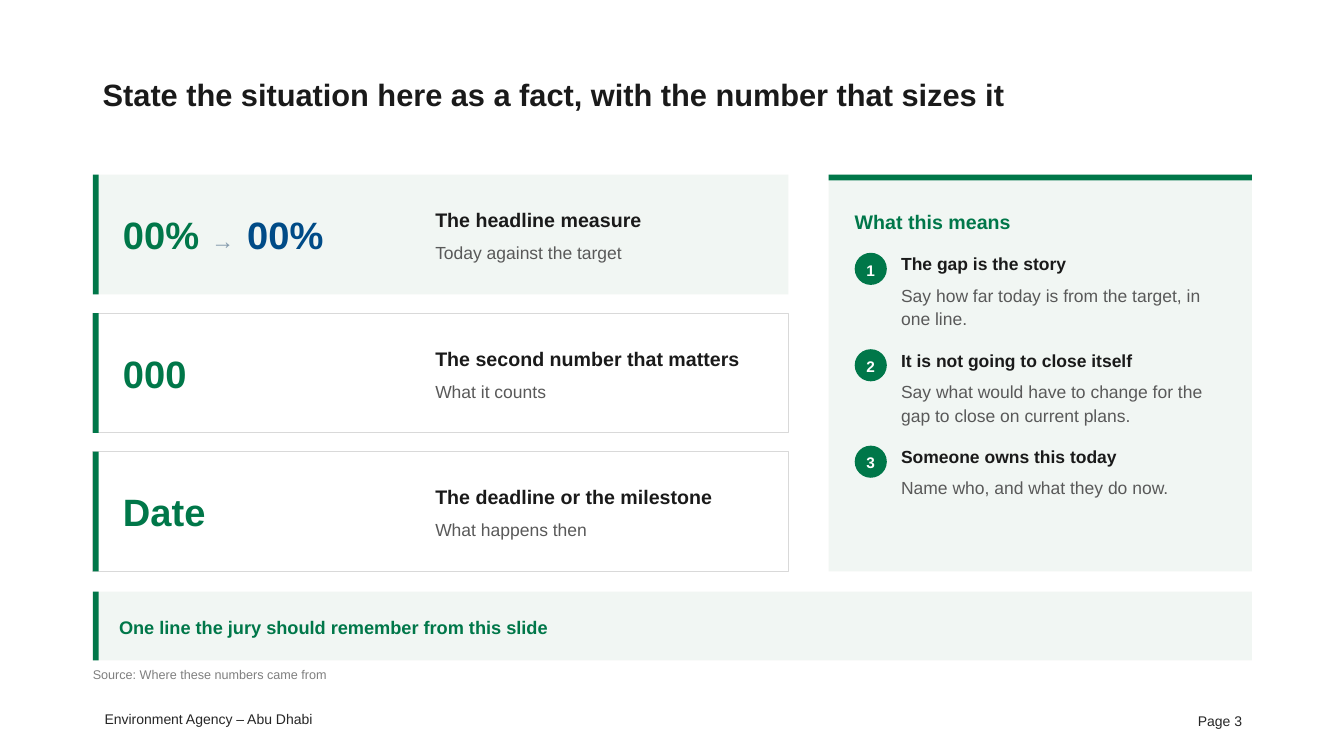
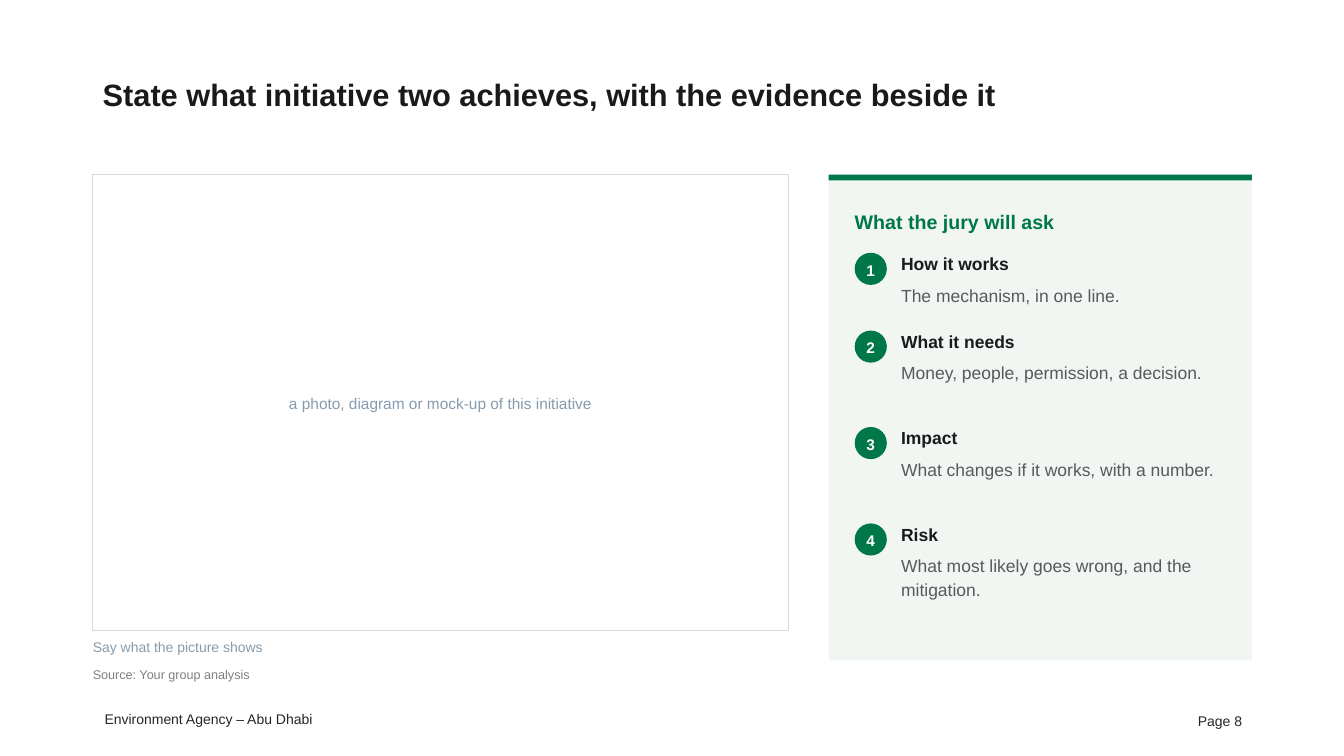
from math import ceil

from lxml.etree import SubElement
from pptx import Presentation
from pptx.dml.color import RGBColor
from pptx.enum.shapes import MSO_SHAPE
from pptx.enum.text import MSO_ANCHOR, PP_ALIGN
from pptx.oxml.ns import qn
from pptx.util import Cm, Pt

FONT = "Arial"
GREEN, BLUE, MINT, WHITE = "007749", "004B87", "F1F6F3", "FFFFFF"
INK, BODY, FOOT, NOTE = "1A1A1A", "595959", "262626", "7F7F7F"
HINT, RULE = "869CAE", "D9D9D9"

# Lengths in centimetres
LEFT, TOP, FULL, MAIN = 2.34, 4.4, 29.21, 17.53
SIDE, SIDE_W = 20.88, 10.67
EDGE = 0.15
CARD_H, PITCH = 3.02, 3.49
BAND_TOP, BAND_H = 14.91, 1.73
BASE = BAND_TOP + BAND_H
PAD = 0.66
LINE_H, LINE_CHARS = 0.47, 36


def color(code):
    return RGBColor.from_string(code)


def add_run(para, text, size, hue, bold=False):
    run = para.add_run()
    run.text = text
    font = run.font
    font.name, font.size, font.bold = FONT, Pt(size), bold
    font.color.rgb = color(hue)


def write(frame, text, size=12.5, hue=BODY, bold=False, align=PP_ALIGN.LEFT,
          anchor=MSO_ANCHOR.TOP, spacing=1.12, after=3, inset=0):
    """Fill a text frame with one formatted paragraph and return it."""
    frame.word_wrap = True
    frame.vertical_anchor = anchor
    frame.margin_left = frame.margin_right = Cm(inset)
    frame.margin_top = frame.margin_bottom = Cm(inset / 2)
    para = frame.paragraphs[0]
    para.alignment = align
    para.line_spacing = spacing
    para.space_after = Pt(after)
    add_run(para, text, size, hue, bold)
    return para


def label(slide, box, text, **form):
    shape = slide.shapes.add_textbox(*map(Cm, box))
    return write(shape.text_frame, text, **form)


def block(slide, box, fill, line=None, kind=MSO_SHAPE.RECTANGLE):
    shape = slide.shapes.add_shape(kind, *map(Cm, box))
    shape.shadow.inherit = False
    shape.fill.solid()
    shape.fill.fore_color.rgb = color(fill)
    if line:
        shape.line.color.rgb = color(line)
        shape.line.width = Pt(0.75)
    else:
        shape.line.fill.background()
    return shape


def set_tabs(para, *stops):
    tabs = SubElement(para._p.get_or_add_pPr(), qn("a:tabLst"))
    for stop in stops:
        SubElement(tabs, qn("a:tab"), pos=str(Cm(stop)), algn="l")


def frame_slide(deck, title, page, source):
    """Add a slide with the shared title, source line and footer."""
    slide = deck.slides.add_slide(deck.slide_layouts[6])
    mid = MSO_ANCHOR.MIDDLE
    foot = dict(size=10, hue=FOOT, align=PP_ALIGN.RIGHT, anchor=mid,
                spacing=1, after=0, inset=0.25)
    label(slide, (23.93, 17.65, 7.62, 1.02), f"Page {page}", **foot)
    label(slide, (2.2, 17.78, 5.92, 0.69), "Environment Agency – Abu Dhabi", **foot)
    label(slide, (LEFT, 1.02, FULL, 2.67), title, size=22, hue=INK, bold=True,
          anchor=mid, spacing=1.05, after=0, inset=0.25)
    label(slide, (LEFT, 16.76, 21.34, 0.56), f"Source: {source}", size=9, hue=NOTE)
    return slide


def add_bar(slide, top, height):
    block(slide, (LEFT, top, EDGE, height), GREEN)


def add_card(slide, top, figure, head, text, goal=None):
    """Draw a figure card; one with a goal is tinted and shows both values."""
    box = (LEFT, top, MAIN, CARD_H)
    block(slide, box, MINT if goal else WHITE, None if goal else RULE)
    add_bar(slide, top, CARD_H)
    para = label(slide, (3.1, top, 7.37, CARD_H), figure, size=27.2, hue=GREEN,
                 bold=True, anchor=MSO_ANCHOR.MIDDLE, spacing=1, after=0)
    if goal:
        set_tabs(para, 2.23, 3.13)
        add_run(para, "\t→\t", 16.3, HINT)
        add_run(para, goal, 27.2, BLUE, True)
    label(slide, (10.97, top + 0.78, 8.23, 0.71), head, size=14, hue=INK, bold=True)
    label(slide, (10.97, top + 1.64, 8.23, 0.61), text)


def add_panel(slide, height, head, items):
    """Draw the side panel with its numbered points."""
    block(slide, (SIDE, TOP, SIDE_W, height), MINT)
    block(slide, (SIDE, TOP, SIDE_W, EDGE), GREEN)
    left, width = SIDE + PAD, SIDE_W - 2 * PAD
    label(slide, (left, 5.21, width, 0.76), head, size=14, hue=GREEN, bold=True)
    inner, shift = left + 1.17, width - 1.17
    top = 6.32
    for num, (name, text) in enumerate(items, 1):
        disc = block(slide, (left, top + 0.05, 0.81, 0.81), GREEN, kind=MSO_SHAPE.OVAL)
        write(disc.text_frame, str(num), size=11, hue=WHITE, bold=True,
              align=PP_ALIGN.CENTER, anchor=MSO_ANCHOR.MIDDLE)
        label(slide, (inner, top, shift, 0.66), name, hue=INK, bold=True)
        depth = LINE_H * ceil(len(text) / LINE_CHARS)
        label(slide, (inner, top + 0.79, shift, depth), text)
        top += 1.49 + depth


def add_band(slide, text):
    block(slide, (LEFT, BAND_TOP, FULL, BAND_H), MINT)
    add_bar(slide, BAND_TOP, BAND_H)
    label(slide, (LEFT + PAD, BAND_TOP, FULL - 2 * PAD, BAND_H), text, size=13,
          hue=GREEN, bold=True, anchor=MSO_ANCHOR.MIDDLE)


def add_photo(slide, hint, note):
    """Draw the empty picture area with its caption."""
    area = block(slide, (LEFT, TOP, MAIN, 11.48), WHITE, RULE)
    write(area.text_frame, hint, size=11, hue=HINT, align=PP_ALIGN.CENTER,
          anchor=MSO_ANCHOR.MIDDLE)
    label(slide, (LEFT, 16.03, MAIN, 0.61), note, size=10, hue=HINT)


def build_facts(deck):
    slide = frame_slide(
        deck, "State the situation here as a fact, with the number that sizes it",
        3, "Where these numbers came from")
    cards = [
        ("00%", "The headline measure", "Today against the target", "00%"),
        ("000", "The second number that matters", "What it counts"),
        ("Date", "The deadline or the milestone", "What happens then"),
    ]
    for row, card in enumerate(cards):
        add_card(slide, TOP + row * PITCH, *card)
    add_panel(slide, 2 * PITCH + CARD_H, "What this means", [
        ("The gap is the story",
         "Say how far today is from the target, in one line."),
        ("It is not going to close itself",
         "Say what would have to change for the gap to close on current plans."),
        ("Someone owns this today", "Name who, and what they do now."),
    ])
    add_band(slide, "One line the jury should remember from this slide")


def build_plan(deck):
    slide = frame_slide(
        deck, "State what initiative two achieves, with the evidence beside it",
        8, "Your group analysis")
    add_photo(slide, "a photo, diagram or mock-up of this initiative",
              "Say what the picture shows")
    add_panel(slide, BASE - TOP, "What the jury will ask", [
        ("How it works", "The mechanism, in one line."),
        ("What it needs", "Money, people, permission, a decision."),
        ("Impact", "What changes if it works, with a number."),
        ("Risk", "What most likely goes wrong, and the mitigation."),
    ])


def main():
    deck = Presentation()
    deck.slide_width, deck.slide_height = Cm(33.87), Cm(19.05)
    build_facts(deck)
    build_plan(deck)
    deck.save("out.pptx")


if __name__ == "__main__":
    main()
